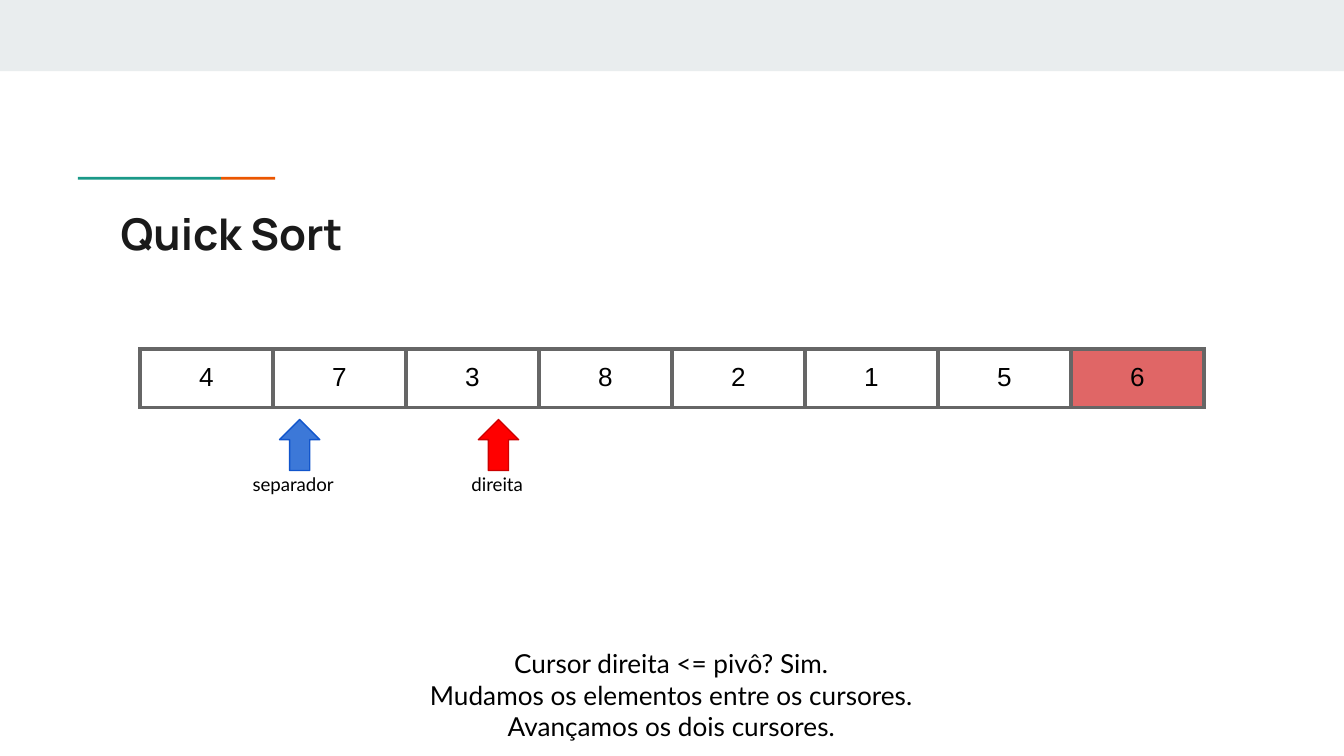
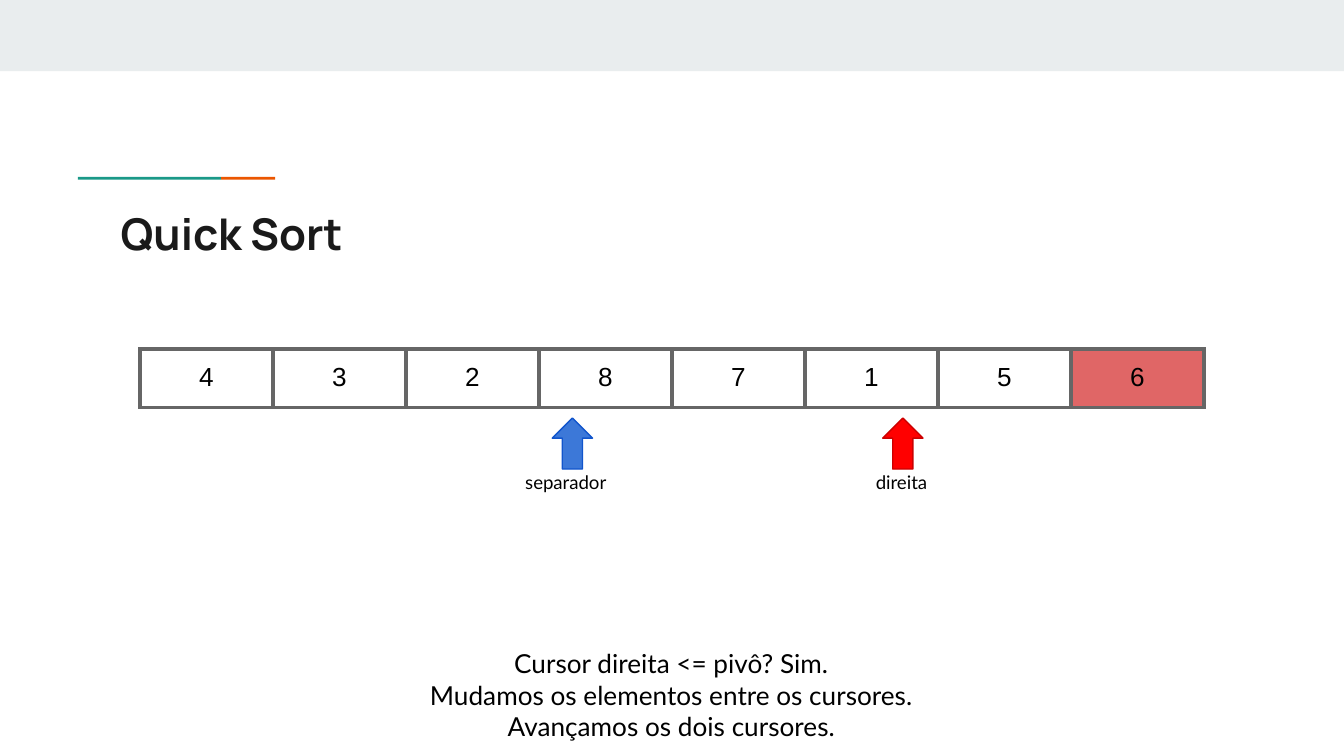
from dataclasses import dataclass

from lxml.etree import SubElement
from pptx import Presentation
from pptx.dml.color import RGBColor
from pptx.enum.shapes import MSO_SHAPE as SHAPE
from pptx.enum.text import PP_ALIGN as ALIGN
from pptx.oxml.ns import qn
from pptx.util import Pt


@dataclass(frozen=True)
class Theme:
    # Colours
    band: str = "E9EDEE"
    teal: str = "1A9988"
    orange: str = "EB5600"
    title: str = "1A1A1A"
    text: str = "000000"
    border: str = "666666"
    pivot: str = "E06666"
    separator: tuple = ("3C78D8", "1155CC")
    right: tuple = ("FF0000", "CC0000")
    # Fonts and sizes
    title_font: str = "Manrope"
    body_font: str = "Lato"
    cell_font: str = "Arial"
    title_size: float = 23.4
    body_size: float = 14
    label_size: float = 10
    border_width: float = 2.25
    inset: float = 7.2


THEME = Theme()
WIDTH, HEIGHT = 720, 405
CELL_WIDTH, CELL_HEIGHT = 71.25, 30
ARROW_LENGTH, ARROW_WIDTH = 27.36, 21.6
EXPLANATION = "\n".join([
    "Cursor direita <= pivô? Sim.",
    "Mudamos os elementos entre os cursores.",
    "Avançamos os dois cursores.",
])


def rgb(value):
    return RGBColor.from_string(value)


def format_text(tf, font, size, color, bold=False, align=ALIGN.LEFT):
    for p in tf.paragraphs:
        p.alignment = align
        for r in p.runs:
            r.font.name = font
            r.font.size = Pt(size)
            r.font.bold = bold
            r.font.color.rgb = rgb(color)


def add_text(s, text, x, y, w, h, font, size, color, **style):
    tf = s.shapes.add_textbox(Pt(x), Pt(y), Pt(w), Pt(h)).text_frame
    tf.word_wrap = True
    tf.margin_left = tf.margin_right = Pt(THEME.inset)
    tf.margin_top = tf.margin_bottom = Pt(THEME.inset)
    tf.text = text
    format_text(tf, font, size, color, **style)


def add_shape(s, kind, x, y, w, h, fill, line=None):
    sp = s.shapes.add_shape(kind, Pt(x), Pt(y), Pt(w), Pt(h))
    sp.shadow.inherit = False
    sp.fill.solid()
    sp.fill.fore_color.rgb = rgb(fill)
    if line:
        sp.line.color.rgb = rgb(line)
        sp.line.width = Pt(0.75)
    else:
        sp.line.fill.background()
    return sp


def add_borders(cell):
    tc_pr = cell._tc.get_or_add_tcPr()
    for i, side in enumerate(("lnL", "lnR", "lnT", "lnB")):
        ln = tc_pr.makeelement(qn(f"a:{side}"), {"w": str(Pt(THEME.border_width))})
        solid = SubElement(ln, qn("a:solidFill"))
        SubElement(solid, qn("a:srgbClr"), val=THEME.border)
        tc_pr.insert(i, ln)  # borders come before the fill


def add_array(s, values):
    count = len(values)
    frame = s.shapes.add_table(1, count, Pt(75), Pt(187),
                               Pt(CELL_WIDTH * count), Pt(CELL_HEIGHT))
    table = frame.table
    table.first_row = table.horz_banding = False
    table.rows[0].height = Pt(CELL_HEIGHT)
    for i, value in enumerate(values):
        table.columns[i].width = Pt(CELL_WIDTH)
        cell = table.cell(0, i)
        cell.margin_left = cell.margin_right = Pt(THEME.inset)
        cell.margin_top = cell.margin_bottom = Pt(THEME.inset)
        cell.text_frame.text = str(value)
        format_text(cell.text_frame, THEME.cell_font, THEME.body_size,
                    THEME.text, align=ALIGN.CENTER)
        # The last element is the pivot
        if i == count - 1:
            cell.fill.solid()
            cell.fill.fore_color.rgb = rgb(THEME.pivot)
        else:
            cell.fill.background()
        add_borders(cell)


def add_cursor(s, name, x, y, colors, label_shift, label_width):
    arrow = add_shape(s, SHAPE.RIGHT_ARROW, x, y, ARROW_LENGTH, ARROW_WIDTH, *colors)
    arrow.rotation = 270
    add_text(s, name, x - label_shift, y + 19.5, label_width, 26.6,
             THEME.body_font, THEME.label_size, THEME.text)


def add_base(prs):
    s = prs.slides.add_slide(prs.slide_layouts[6])
    # Top band and two-colour accent line
    add_shape(s, SHAPE.RECTANGLE, 0, 0, WIDTH, 38.2, THEME.band)
    add_shape(s, SHAPE.RECTANGLE, 118.4, 94.8, 29, 1.5, THEME.orange)
    add_shape(s, SHAPE.RECTANGLE, 41.8, 94.8, 76.6, 1.5, THEME.teal)
    add_text(s, "Quick Sort", 57.6, 103.7, 605.5, 42.5, THEME.title_font,
             THEME.title_size, THEME.title, bold=True)
    return s


def add_step(prs, values, separator_x, right_x, cursor_y):
    s = add_base(prs)
    add_array(s, values)
    add_cursor(s, "separador", separator_x, cursor_y, THEME.separator, 18.7, 59.8)
    add_cursor(s, "direita", right_x, cursor_y, THEME.right, 7.9, 43.2)
    add_text(s, EXPLANATION, 128.2, 339.8, 463, 65.5, THEME.body_font,
             THEME.body_size, THEME.text, align=ALIGN.CENTER)


def main():
    prs = Presentation()
    prs.slide_width, prs.slide_height = Pt(WIDTH), Pt(HEIGHT)
    # Array before and after the swap
    add_step(prs, [4, 7, 3, 8, 2, 1, 5, 6], 146.9, 253.4, 227.6)
    add_step(prs, [4, 3, 2, 8, 7, 1, 5, 6], 293, 470, 226.8)
    prs.save("out.pptx")


if __name__ == "__main__":
    main()
